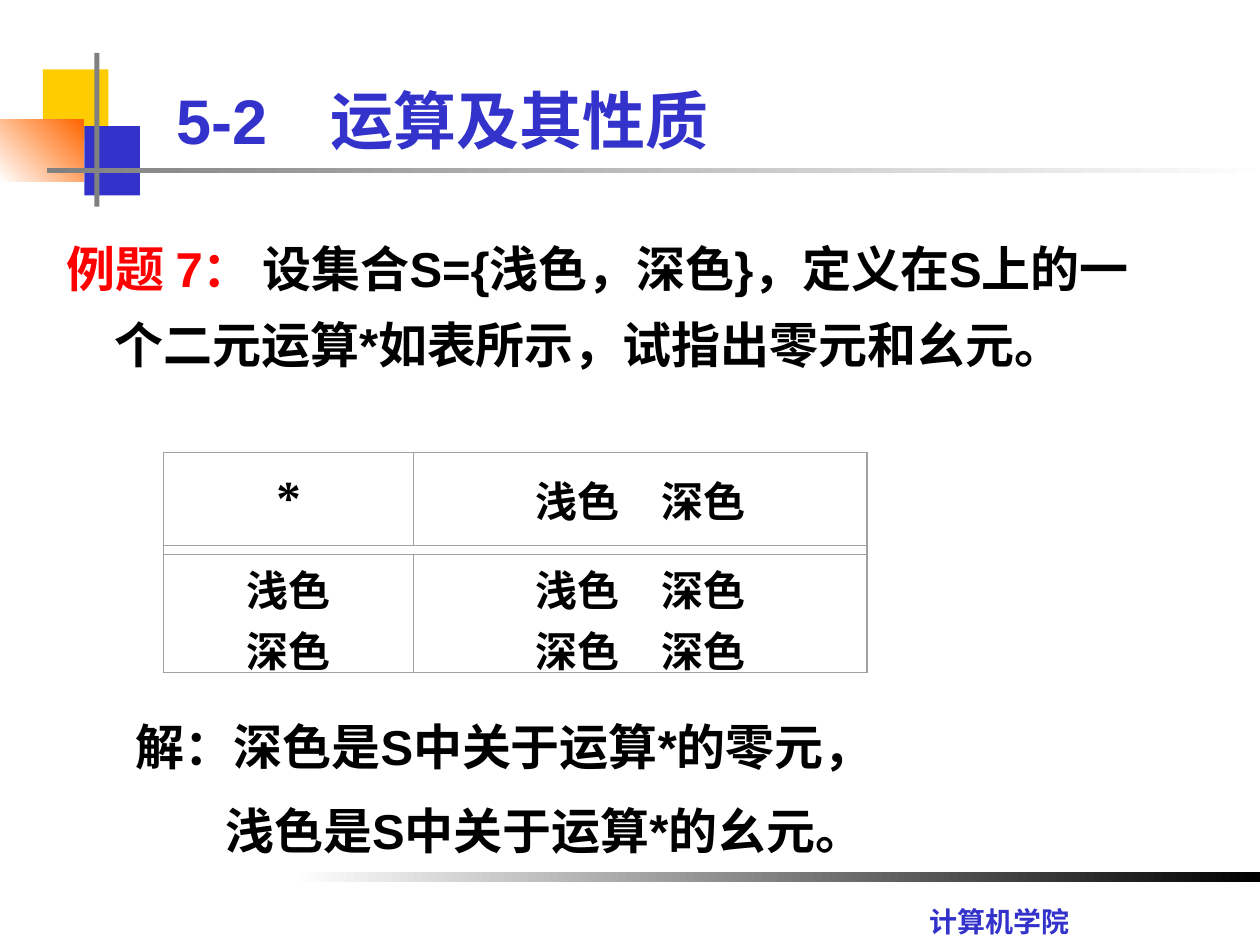
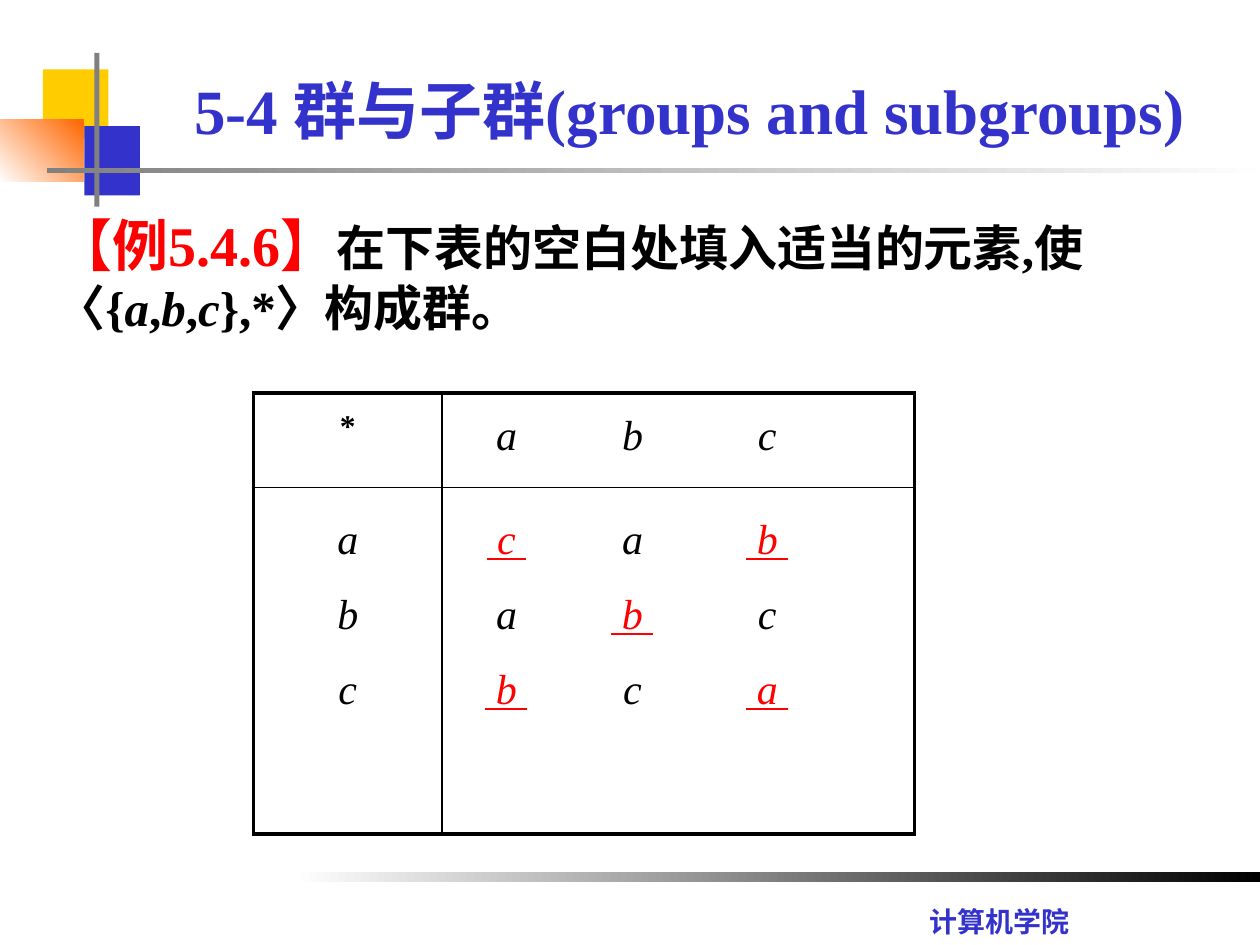
from dataclasses import dataclass

from lxml.etree import SubElement
from pptx import Presentation
from pptx.dml.color import RGBColor as Rgb
from pptx.enum.shapes import MSO_SHAPE as Shape
from pptx.enum.text import MSO_ANCHOR as Anchor, MSO_AUTO_SIZE as AutoSize, PP_ALIGN as Align
from pptx.oxml.ns import qn
from pptx.util import Pt

PX = 9144  # EMU in one px, 100 px to the inch


@dataclass(frozen=True)
class Theme:
    blue: str = "3333CC"
    yellow: str = "FFCC00"
    orange: str = "FF6600"
    gray: str = "808080"
    rule: str = "A0A0A0"
    red: str = "FF0000"
    black: str = "000000"
    white: str = "FFFFFF"
    sans: str = "Arial"
    serif: str = "Times New Roman"
    footer: str = "Karla"
    title_size: int = 36
    label_size: int = 32
    body_size: int = 28
    table_size: int = 24
    star_size: int = 18
    footer_size: int = 16


theme = Theme()


def write(paragraph, runs, base, **layout):
    """Add (text, changes) runs, each formatted by base plus its changes."""
    for key, value in layout.items():
        setattr(paragraph, key, value)
    for text, changes in runs:
        run = paragraph.add_run()
        run.text = text
        for key, value in {**base, **changes}.items():
            if key == "color":
                run.font.color.rgb = Rgb.from_string(value)
            else:
                setattr(run.font, key, Pt(value) if key == "size" else value)


def outline(cell, color, **widths):
    """Draw the four cell borders (L, R, T, B in points) and clear the fill."""
    properties = cell._tc.get_or_add_tcPr()
    for side in "LRTB":
        line = SubElement(properties, qn(f"a:ln{side}"), w=str(Pt(widths[side])))
        SubElement(SubElement(line, qn("a:solidFill")), qn("a:srgbClr"), val=color)
    cell.fill.background()


deck = Presentation()
deck.slide_width, deck.slide_height = 1000 * PX, 750 * PX
title_only = deck.slide_layouts[5]
example_slide = deck.slides.add_slide(title_only)
group_slide = deck.slides.add_slide(title_only)

# Shared decoration: one colour is solid, two are a gradient at the given angle
decoration = []
for box, colors, angle in [
    ((34, 55, 52, 55), [theme.yellow], 0),
    ((67, 100, 44, 55), [theme.blue], 0),
    ((0, 95, 66, 49), [theme.white, theme.orange], 45),
    ((75, 42, 4, 122), [theme.gray], 0),
    ((37, 133, 975, 4), [theme.gray, theme.white], 0),
    ((233, 692, 767, 8), [theme.white, theme.black], 0),
]:
    block = example_slide.shapes.add_shape(Shape.RECTANGLE, *[n * PX for n in box])
    block.shadow.inherit = False
    block.line.fill.background()
    if len(colors) == 1:
        block.fill.solid()
        block.fill.fore_color.rgb = Rgb.from_string(colors[0])
    else:
        block.fill.gradient()
        block.fill.gradient_angle = angle
        for stop, color in zip(block.fill.gradient_stops, colors):
            stop.color.rgb = Rgb.from_string(color)
    decoration.append(block)

# Shared footer
school = example_slide.shapes.add_textbox(728 * PX, 713 * PX, 139 * PX, 37 * PX)
school.text_frame.word_wrap = False
write(school.text_frame.paragraphs[0], [("计算机学院", {})],
      dict(name=theme.footer, size=theme.footer_size, color=theme.blue, bold=True))
decoration.append(school)

# Move the shared parts to the layout, behind its placeholders
for order, part in enumerate(decoration):
    part.element.xpath(".//p:cNvPr")[0].set("id", str(20 + order))
    title_only.shapes.element.insert(2 + order, part.element)

# Titles
for slide, text, box, font, align in [
    (example_slide, "5-2　运算及其性质", (130, 60, 850, 70), theme.sans, Align.LEFT),
    (group_slide, "5-4 群与子群(groups and subgroups)", (122, 52, 850, 70), theme.serif, Align.CENTER),
]:
    title = slide.shapes.title
    title.left, title.top, title.width, title.height = [n * PX for n in box]
    title.text_frame.auto_size = AutoSize.NONE
    title.text_frame.vertical_anchor = Anchor.MIDDLE
    write(title.text_frame.paragraphs[0], [(text, {})],
          dict(name=font, size=theme.title_size, color=theme.blue, bold=True), alignment=align)

sans_text = dict(name=theme.sans, size=theme.body_size, color=theme.black, bold=True)
serif_text = {**sans_text, "name": theme.serif}

# Slide 1: question
question = example_slide.shapes.add_textbox(43 * PX, 170 * PX, 867 * PX, 125 * PX).text_frame
question.word_wrap = True
write(question.paragraphs[0], [
    ("例题 7：", {"color": theme.red}),
    (" 设集合S={浅色，深色}，定义在S上的一个二元运算*如表所示，试指出零元和幺元。", {}),
], sans_text, line_spacing=1.3, space_before=Pt(5), space_after=Pt(5))
hanging = question.paragraphs[0]._p.get_or_add_pPr()
hanging.set("marL", str(38 * PX))
hanging.set("indent", str(-38 * PX))

# Slide 1: operation table, with a thin empty row as the double rule
shades = example_slide.shapes.add_table(3, 2, 130 * PX, 359 * PX, 558 * PX, 175 * PX).table
shades.first_row = shades.horz_banding = False
for column, width in zip(shades.columns, (198, 360)):
    column.width = width * PX
for row, height in zip(shades.rows, (74, 7, 94)):
    row.height = height * PX
shade_rows = [
    (["*"], ["浅色　深色"]),
    ([], []),
    (["浅色", "深色"], ["浅色　深色", "深色　深色"]),
]
for r, row in enumerate(shade_rows):
    for c, lines in enumerate(row):
        cell = shades.cell(r, c)
        inset = 3 if lines else 0
        cell.margin_left = cell.margin_right = 7 * PX
        cell.margin_top = cell.margin_bottom = inset * PX
        cell.vertical_anchor = Anchor.MIDDLE
        outline(cell, theme.rule, L=0.87, R=0.87, T=0.87, B=0.87)
        for n, line in enumerate(lines):
            paragraph = cell.text_frame.add_paragraph() if n else cell.text_frame.paragraphs[0]
            size = theme.body_size if line == "*" else theme.table_size
            write(paragraph, [(line, {"size": size})], serif_text, alignment=Align.CENTER)
        if not lines:
            SubElement(cell.text_frame.paragraphs[0]._p, qn("a:endParaRPr"), sz="100")
shades.cell(1, 0).merge(shades.cell(1, 1))

# Slide 1: solution
solution = example_slide.shapes.add_textbox(98 * PX, 564 * PX, 708 * PX, 127 * PX).text_frame
solution.word_wrap = True
write(solution.paragraphs[0], [("解：深色是S中关于运算*的零元，", {})], sans_text, space_before=Pt(14))
identity = solution.add_paragraph()
write(identity, [("浅色是S中关于运算*的幺元。", {})], sans_text, space_before=Pt(14))
identity._p.get_or_add_pPr().set("marL", str(71 * PX))

# Slide 2: exercise
exercise = group_slide.shapes.add_textbox(35 * PX, 162 * PX, 917 * PX, 110 * PX).text_frame
exercise.word_wrap = True
italic = {"italic": True}
write(exercise.paragraphs[0], [
    ("【例5.4.6】", {"color": theme.red, "size": theme.label_size}),
    ("在下表的空白处填入适当的元素,使〈{", {}),
    ("a", italic), (",", {}), ("b", italic), (",", {}), ("c", italic),
    ("},*〉构成群。", {}),
], serif_text, space_before=Pt(14))

# Slide 2: group table
group = group_slide.shapes.add_table(2, 2, 201 * PX, 312 * PX, 525 * PX, 350 * PX).table
group.first_row = group.horz_banding = False
for column, width in zip(group.columns, (150, 375)):
    column.width = width * PX
for row, height in zip(group.rows, (75, 275)):
    row.height = height * PX
for r in range(2):
    for c in range(2):
        outline(group.cell(r, c), theme.black, L=1 if c else 2.25, R=2.25 if c else 1,
                T=1 if r else 2.25, B=2.25 if r else 1)

element = {**serif_text, "size": theme.table_size, "bold": False, "italic": True}
answer = {"color": theme.red, "underline": True}
write(group.cell(0, 0).text_frame.paragraphs[0], [("*", {})],
      {**serif_text, "size": theme.star_size},
      alignment=Align.CENTER, line_spacing=1.3, space_before=Pt(3))

# A leading underscore marks a filled-in blank
for c, lines, align in [
    (0, ["a", "b", "c"], Align.CENTER),
    (1, ["_c a _b", "a _b c", "_b c _a"], Align.LEFT),
    (1, ["a b c"], Align.LEFT),
]:
    is_header = len(lines) == 1
    frame = group.cell(0 if is_header else 1, c).text_frame
    for n, line in enumerate(lines):
        paragraph = frame.add_paragraph() if n else frame.paragraphs[0]
        runs = []
        for entry in line.split():
            if c:
                runs.append(("\t", {}))
            runs.append((f" {entry[1]} ", answer) if entry[0] == "_" else (entry, {}))
        write(paragraph, runs, element, alignment=align,
              line_spacing=1.3 if is_header else 1.5, space_before=Pt(3))
        if c:
            tabs = SubElement(paragraph._p.get_or_add_pPr(), qn("a:tabLst"))
            for center in (41, 141, 248):
                SubElement(tabs, qn("a:tab"), pos=str(center * PX), algn="ctr")

deck.save("out.pptx")
